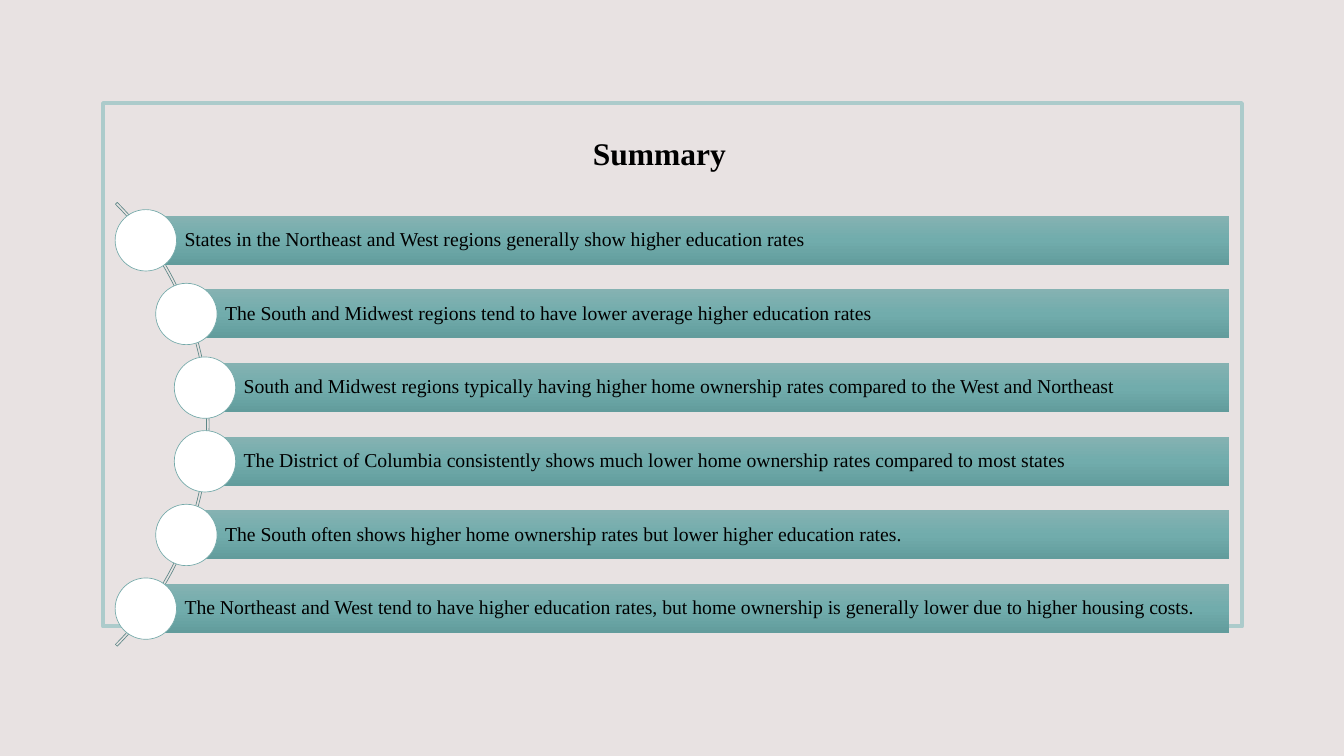
from copy import deepcopy
from pptx import Presentation
from pptx.dml.color import RGBColor
from pptx.enum.shapes import MSO_SHAPE
from pptx.enum.text import MSO_ANCHOR, PP_ALIGN
from pptx.oxml.ns import qn
from pptx.util import Cm, Pt

TITLE = "Summary"
FINDINGS = [
    ("States in the Northeast and West regions generally show higher education rates", 3.92),
    ("The South and Midwest regions tend to have lower average higher education rates", 5.01),
    ("South and Midwest regions typically having higher home ownership rates compared to the West and Northeast", 5.51),
    ("The District of Columbia consistently shows much lower home ownership rates compared to most states", 5.51),
    ("The South often shows higher home ownership rates but lower higher education rates.", 5.01),
    ("The Northeast and West tend to have higher education rates, but home ownership is generally lower due to higher housing costs.", 3.92),
]
COLORS = {
    "background": "E8E2E2",
    "frame": "ACCBCB",
    "arc": "5D8787",
    "bar_top": "85B2B2",
    "bar_middle": "71ACAC",
    "bar_bottom": "629C9C",
    "circle": "FFFFFF",
    "circle_line": "74A9A9",
    "text": "000000",
}
FONT = "Times New Roman"
FIRST_CENTER, ROW_STEP = 6.46, 1.98
BAR_RIGHT, BAR_HEIGHT, CIRCLE_SIZE = 33.03, 1.32, 1.65


def color(name):
    return RGBColor.from_string(COLORS[name])


def add_outline(slide, kind, left, top, width, height, line=None, weight=0.5, fill=None):
    shape = slide.shapes.add_shape(kind, Cm(left), Cm(top), Cm(width), Cm(height))
    shape.shadow.inherit = False
    if fill:
        shape.fill.solid()
        shape.fill.fore_color.rgb = color(fill)
    else:
        shape.fill.background()
    if line:
        shape.line.color.rgb = color(line)
        shape.line.width = Pt(weight)
    else:
        shape.line.fill.background()
    return shape


def format_text(paragraph, size, spacing, alignment, bold=False):
    paragraph.alignment = alignment
    paragraph.line_spacing = spacing
    font = paragraph.runs[0].font
    font.name, font.size, font.bold = FONT, Pt(size), bold
    font.color.rgb = color("text")


def fill_gradient(shape):
    shape.fill.gradient()
    shape.fill.gradient_angle = 270
    stop_list = shape._element.spPr.find(qn("a:gradFill")).find(qn("a:gsLst"))
    stop_list.insert(1, deepcopy(stop_list[0]))
    names = ("bar_top", "bar_middle", "bar_bottom")
    for stop, name, position in zip(shape.fill.gradient_stops, names, (0, 0.5, 1)):
        stop.color.rgb = color(name)
        stop.position = position


def add_title(slide):
    title = slide.shapes.add_textbox(Cm(8.74), Cm(3.12), Cm(17.96), Cm(1.63))
    text_frame = title.text_frame
    text_frame.word_wrap = True
    text_frame.vertical_anchor = MSO_ANCHOR.BOTTOM
    text_frame.text = TITLE
    format_text(text_frame.paragraphs[0], 24, 1.2, PP_ALIGN.CENTER, True)


def add_finding(slide, text, center_x, center_y):
    bar = add_outline(slide, MSO_SHAPE.RECTANGLE, center_x, center_y - BAR_HEIGHT / 2,
                      BAR_RIGHT - center_x, BAR_HEIGHT)
    fill_gradient(bar)
    text_frame = bar.text_frame
    text_frame.word_wrap = True
    text_frame.vertical_anchor = MSO_ANCHOR.MIDDLE
    text_frame.margin_left = Cm(1.04)
    text_frame.margin_right = text_frame.margin_top = text_frame.margin_bottom = Cm(0.1)
    text_frame.text = text
    format_text(text_frame.paragraphs[0], 15, 0.9, PP_ALIGN.LEFT)
    radius = CIRCLE_SIZE / 2
    add_outline(slide, MSO_SHAPE.OVAL, center_x - radius, center_y - radius,
                CIRCLE_SIZE, CIRCLE_SIZE, "circle_line", fill="circle")


def main():
    presentation = Presentation()
    presentation.slide_width, presentation.slide_height = Cm(36.12), Cm(20.32)
    slide = presentation.slides.add_slide(presentation.slide_layouts[6])
    slide.background.fill.solid()
    slide.background.fill.fore_color.rgb = color("background")
    add_outline(slide, MSO_SHAPE.RECTANGLE, 2.77, 2.77, 30.61, 14.07, "frame", 3)
    add_title(slide)
    arc = add_outline(slide, MSO_SHAPE.BLOCK_ARC, -11.25, 2.97, 16.87, 16.87, "arc")
    for index, value in enumerate((189, 27, 0.004)):
        arc.adjustments[index] = value
    for row, (text, center_x) in enumerate(FINDINGS):
        add_finding(slide, text, center_x, FIRST_CENTER + row * ROW_STEP)
    presentation.save("out.pptx")


if __name__ == "__main__":
    main()
